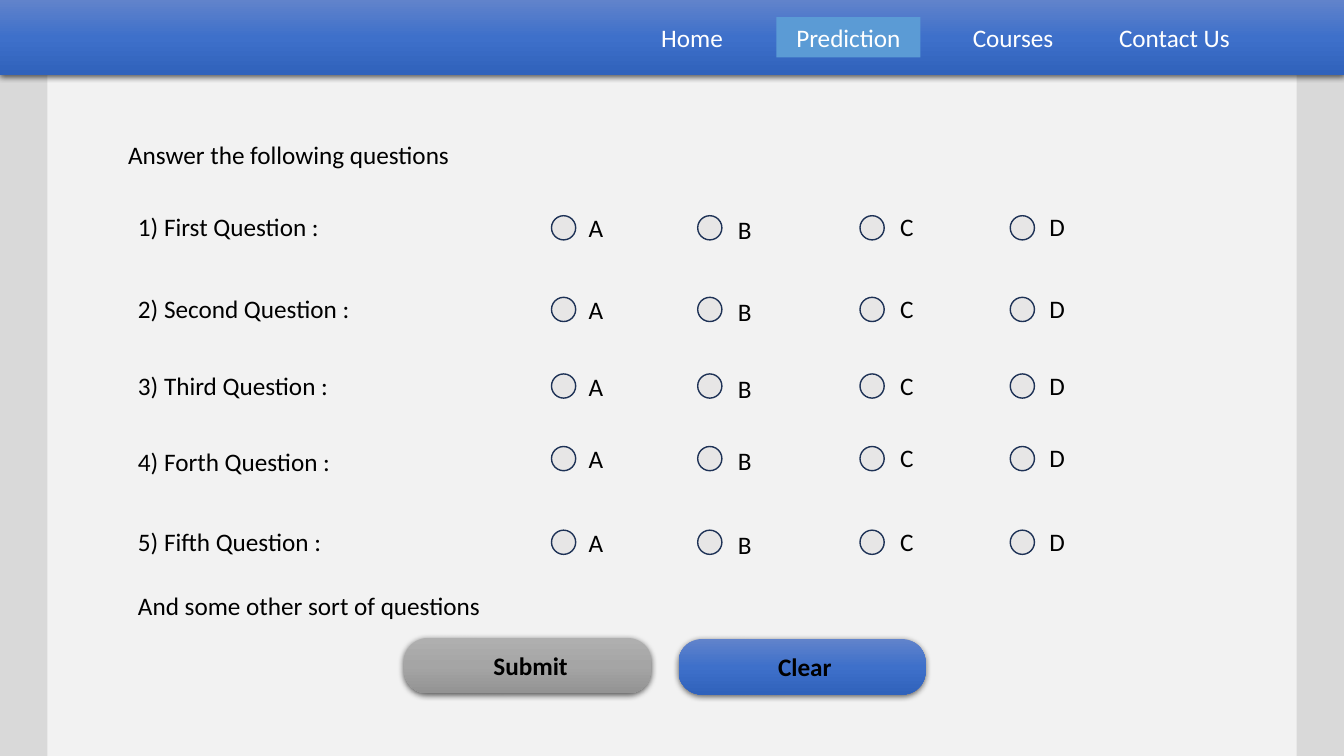
"""Build a quiz page mock-up with a navigation bar, five questions and two buttons."""
from copy import deepcopy
from typing import NamedTuple, Optional

from lxml import etree
from pptx import Presentation
from pptx import util as u
from pptx.dml.color import RGBColor
from pptx.enum import shapes, text
from pptx.oxml.ns import qn

WHITE = RGBColor(0xFF, 0xFF, 0xFF)
BLACK = RGBColor(0x00, 0x00, 0x00)
PAGE = RGBColor(0xD9, 0xD9, 0xD9)
PANEL = RGBColor(0xF2, 0xF2, 0xF2)
ACTIVE = RGBColor(0x5B, 0x9B, 0xD5)
RADIO = RGBColor(0xE7, 0xE6, 0xE6)
RING = RGBColor(0x1E, 0x32, 0x56)
BLUES = (RGBColor(0x61, 0x83, 0xCB), RGBColor(0x3E, 0x70, 0xCA), RGBColor(0x30, 0x62, 0xBB))
GRAYS = (RGBColor(0xAF, 0xAF, 0xAF), RGBColor(0xA5, 0xA5, 0xA5), RGBColor(0x93, 0x93, 0x93))

RECT = shapes.MSO_SHAPE.RECTANGLE
ROUND = shapes.MSO_SHAPE.ROUNDED_RECTANGLE
OVAL = shapes.MSO_SHAPE.OVAL
LINE_H = 0.4
NAV_TOP = 0.17
DOT = 0.24
DOT_DROP = 0.09


class Box(NamedTuple):
    left: float
    top: float
    width: float
    height: float


class Link(NamedTuple):
    label: str
    left: float
    width: float


class Choice(NamedTuple):
    label: str
    dot: float
    left: float
    drop: float


class Question(NamedTuple):
    label: str
    top: float
    row: float
    width: float


class Button(NamedTuple):
    label: str
    box: Box
    tones: tuple


LINKS = (Link("Home", 6.46, 1.04), Link("Courses", 9.55, 1.04), Link("Contact Us", 11, 1.41))
CHOICES = (
    Choice("A", 5.47, 5.74, 0.01),
    Choice("B", 6.92, 7.22, 0.03),
    Choice("C", 8.53, 8.83, 0),
    Choice("D", 10.02, 10.31, 0),
)
QUESTIONS = (
    Question("1) First Question :", 2.05, 2.05, 2.01),
    Question("2) Second Question :", 2.86, 2.86, 2.32),
    Question("3) Third Question :", 3.62, 3.62, 2.15),
    Question("4) Forth Question :", 4.38, 4.34, 2.15),
    Question("5) Fifth Question :", 5.17, 5.17, 2.15),
)
BUTTONS = (
    Button(" Submit", Box(4.01, 6.33, 2.45, 0.55), GRAYS),
    Button(" Clear", Box(6.73, 6.34, 2.45, 0.55), BLUES),
)


def place(box: Box) -> list:
    """Return the box as slide lengths."""
    return [u.Inches(side) for side in box]


def write(shape, words: str, color: RGBColor, align=text.PP_ALIGN.LEFT, bold: bool = False) -> None:
    """Set and format the one line of text in a shape."""
    frame = shape.text_frame
    frame.text = words
    frame.word_wrap = True
    line = frame.paragraphs[0]
    line.alignment = align
    font = line.runs[0].font
    font.name, font.size, font.bold = "Calibri", u.Pt(18), bold
    font.color.rgb = color


def label(slide, words: str, box: Box, color: RGBColor = BLACK) -> None:
    """Add a plain text box."""
    write(slide.shapes.add_textbox(*place(box)), words, color)


def block(slide, kind, box: Box, fill: Optional[RGBColor] = None, ring: Optional[RGBColor] = None):
    """Add a flat shape with an optional fill and outline."""
    shape = slide.shapes.add_shape(kind, *place(box))
    shape.shadow.inherit = False
    if fill is not None:
        shape.fill.solid()
        shape.fill.fore_color.rgb = fill
    if ring is None:
        shape.line.fill.background()
    else:
        shape.line.color.rgb = ring
        shape.line.width = u.Pt(1)
    return shape


def gloss(slide, kind, box: Box, tones: tuple):
    """Add a shape with a three-tone gradient and a soft shadow below."""
    shape = block(slide, kind, box)
    fill = shape.fill
    fill.gradient()
    fill.gradient_angle = 270
    props = shape._element.spPr
    stops = props.find(".//" + qn("a:gsLst"))
    stops.append(deepcopy(stops[-1]))
    for stop, tone, spot in zip(fill.gradient_stops, tones, (0, 0.5, 1)):
        stop.color.rgb = tone
        stop.position = spot
    cast = etree.SubElement(
        props.find(qn("a:effectLst")), qn("a:outerShdw"), algn="ctr", rotWithShape="0",
        blurRad=str(u.Pt(4.5)), dist=str(u.Pt(1.5)), dir="5400000",
    )
    tint = etree.SubElement(cast, qn("a:srgbClr"), val=str(BLACK))
    etree.SubElement(tint, qn("a:alpha"), val="63000")
    return shape


def head(slide) -> None:
    """Draw the navigation bar and its links."""
    gloss(slide, RECT, Box(0, 0, 13.33, 0.74), BLUES)
    for link in LINKS:
        label(slide, link.label, Box(link.left, NAV_TOP, link.width, LINE_H), WHITE)
    tab = block(slide, RECT, Box(7.7, NAV_TOP, 1.43, LINE_H), ACTIVE)
    write(tab, "Prediction", WHITE, text.PP_ALIGN.CENTER)


def ask(slide, item: Question) -> None:
    """Draw one question with its radio choices."""
    label(slide, item.label, Box(1.27, item.top, item.width, LINE_H))
    for pick in CHOICES:
        block(slide, OVAL, Box(pick.dot, item.row + DOT_DROP, DOT, DOT), RADIO, RING)
        label(slide, pick.label, Box(pick.left, item.row + pick.drop, 0.35, LINE_H))


def main() -> None:
    """Build and save the slide."""
    deck = Presentation()
    deck.slide_width, deck.slide_height = u.Inches(13.33), u.Inches(7.5)
    slide = deck.slides.add_slide(deck.slide_layouts[5])

    block(slide, RECT, Box(0, 0.74, 13.33, 6.76), PAGE)
    panel = block(slide, ROUND, Box(0.47, 0.7, 12.39, 6.8), PANEL)
    panel.adjustments[0] = 0
    head(slide)
    for item in QUESTIONS:
        ask(slide, item)

    title = slide.shapes.title
    title.left, title.top, title.width, title.height = place(Box(1.17, 1.33, 4.3, LINE_H))
    write(title, "Answer the following questions", BLACK)
    title.text_frame.auto_size = text.MSO_AUTO_SIZE.NONE
    title.text_frame.vertical_anchor = text.MSO_ANCHOR.TOP
    slide.shapes._spTree.append(title._element)

    for button in BUTTONS:
        shape = gloss(slide, ROUND, button.box, button.tones)
        shape.adjustments[0] = 0.42
        write(shape, button.label, BLACK, text.PP_ALIGN.CENTER, True)
    label(slide, "And some other sort of questions", Box(1.27, 5.81, 4.22, LINE_H))
    deck.save("out.pptx")


if __name__ == "__main__":
    main()
